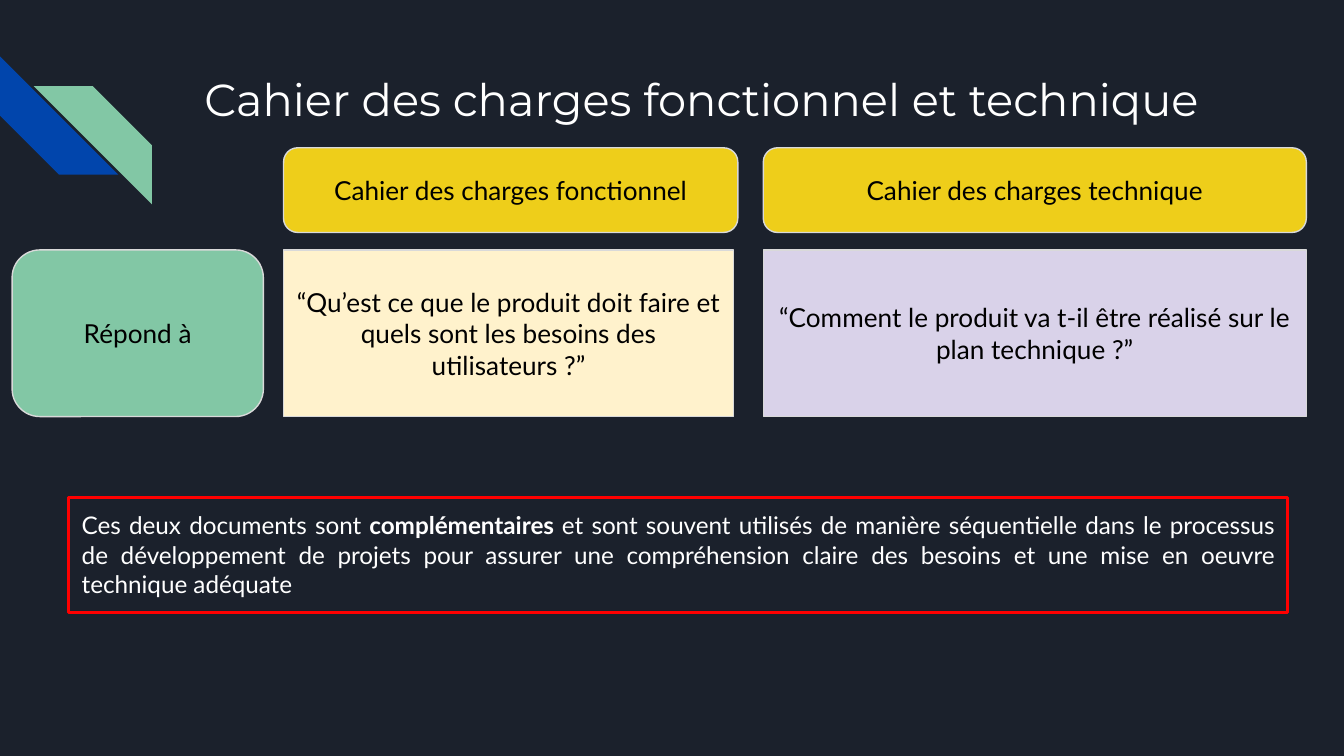
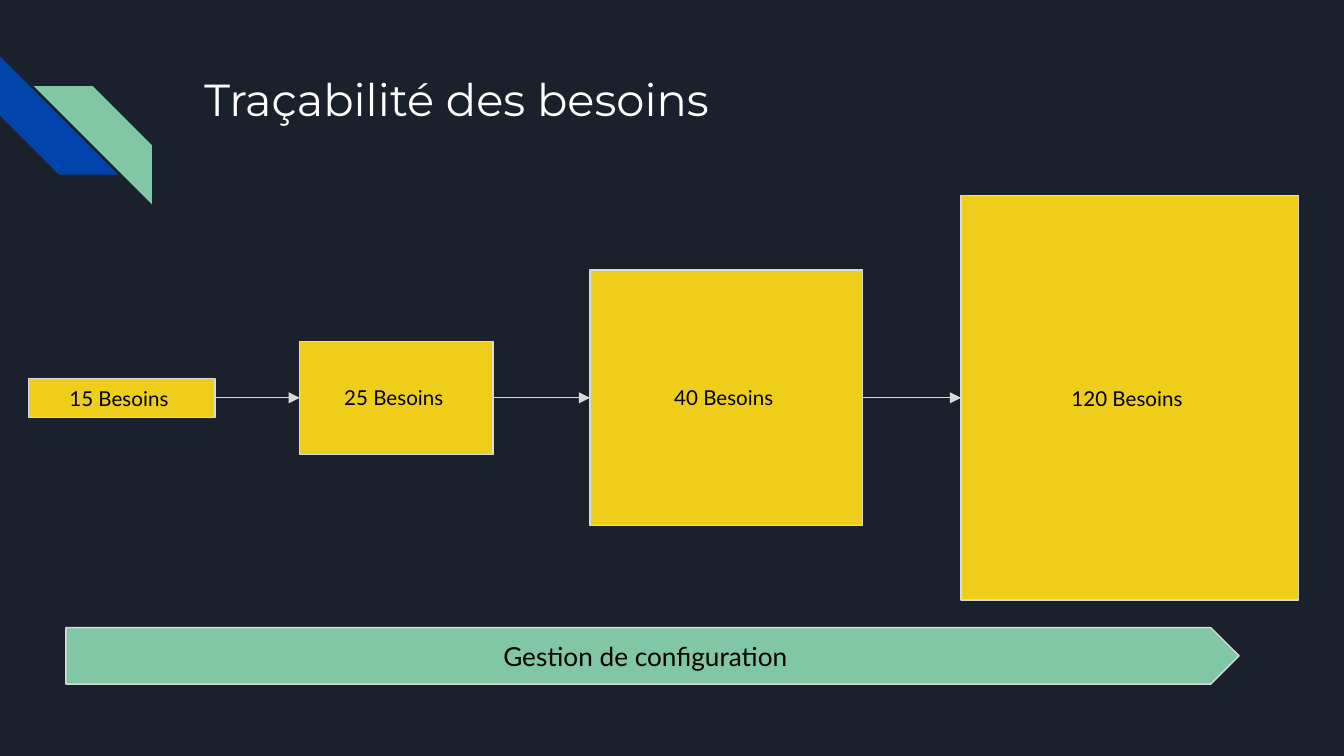
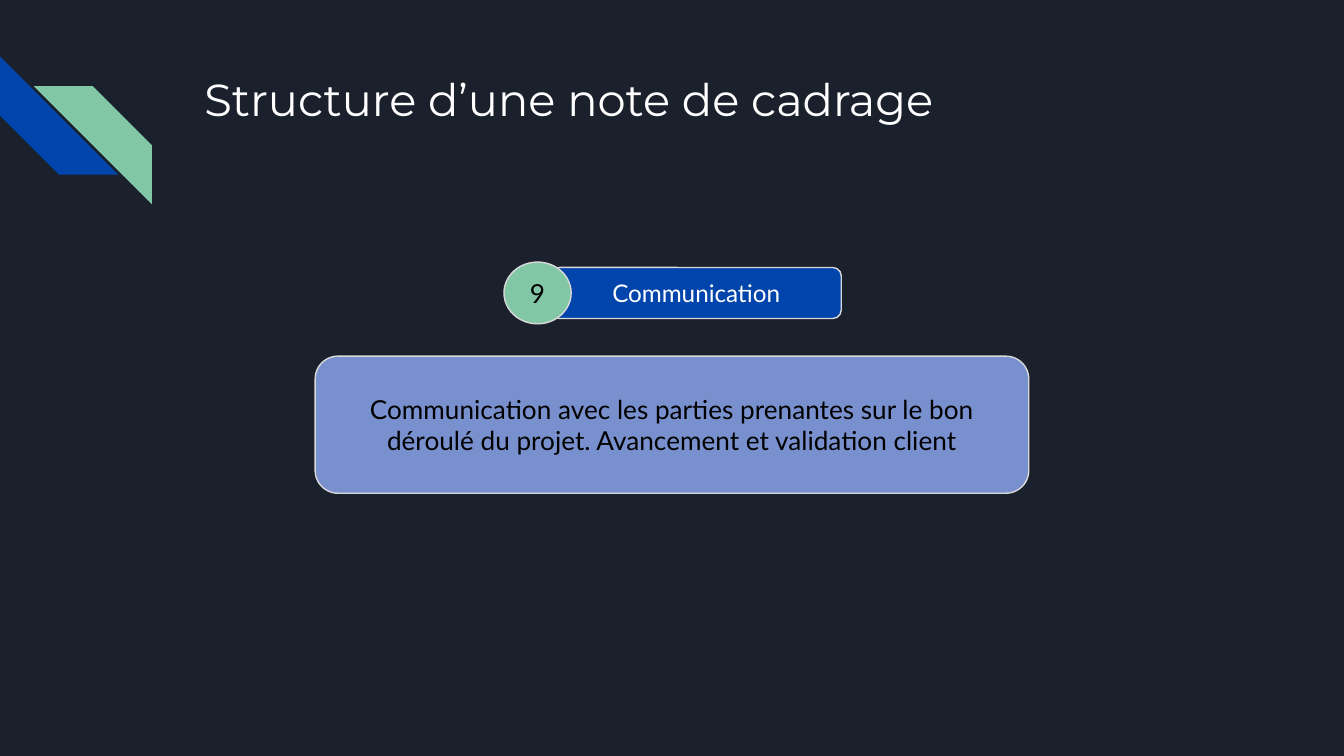
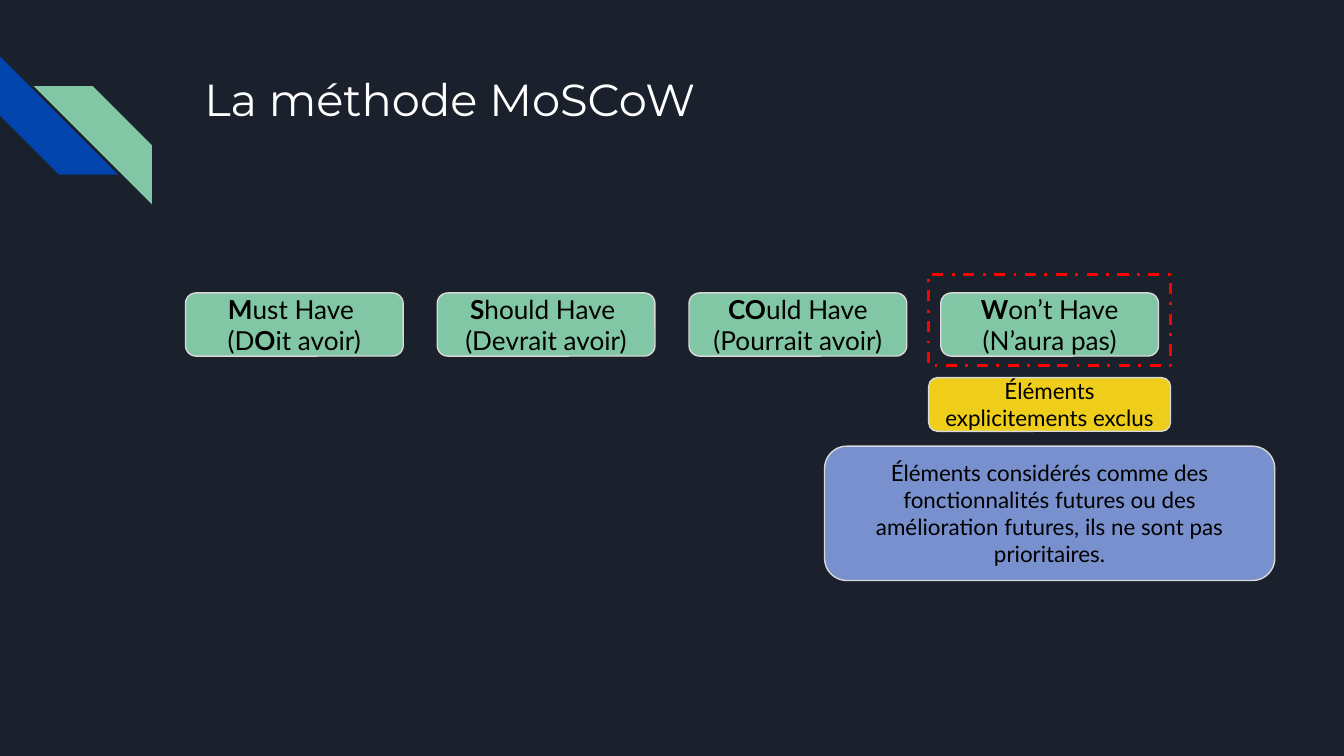
from itertools import pairwise

from lxml.etree import SubElement
from pptx import Presentation
from pptx.dml.color import RGBColor
from pptx.enum.dml import MSO_LINE
from pptx.enum.shapes import MSO_CONNECTOR, MSO_SHAPE as SHAPE
from pptx.enum.text import MSO_ANCHOR as ANCHOR, MSO_AUTO_SIZE, PP_ALIGN as ALIGN
from pptx.oxml.ns import qn
from pptx.util import Inches, Pt

WIDTH = 10
NIGHT, WHITE, BLACK, GREY, RED = "1B212C", "FFFFFF", "000000", "D9D9D9", "FF0000"
BLUE, GREEN, YELLOW, PERIWINKLE = "0145AC", "82C7A5", "EECE1A", "7890CD"
CREAM, LILAC = "FFF2CC", "D9D2E9"
BODY_FONT, TITLE_FONT = "Lato", "Montserrat"
MARGIN = 0.1

TITLES = {
    "specifications": "Cahier des charges fonctionnel et technique",
    "traceability": "Traçabilité des besoins",
    "framing": "Structure d’une note de cadrage",
    "moscow": "La méthode MoSCoW",
}

COLUMN_LEFTS = [0.09, 2.11, 5.68]
ROWS = [(1.1, 0.63), (1.86, 1.24)]
SPECIFICATION_CELLS = [
    (0, 1, 3.38, SHAPE.ROUNDED_RECTANGLE, YELLOW, "Cahier des charges fonctionnel"),
    (0, 2, 4.04, SHAPE.ROUNDED_RECTANGLE, YELLOW, "Cahier des charges technique"),
    (1, 0, 1.87, SHAPE.ROUNDED_RECTANGLE, GREEN, "Répond à"),
    (1, 1, 3.35, SHAPE.RECTANGLE, CREAM,
     "“Qu’est ce que le produit doit faire et quels sont les besoins des utilisateurs ?”"),
    (1, 2, 4.04, SHAPE.RECTANGLE, LILAC,
     "“Comment le produit va t-il être réalisé sur le plan technique ?”"),
]
SUMMARY = (
    "Ces deux documents sont *complémentaires *et sont souvent utilisés de manière "
    "séquentielle dans le processus de développement de projets pour assurer une "
    "compréhension claire des besoins et une mise en oeuvre technique adéquate"
)

NEEDS_AXIS = 2.96
NEEDS = [
    ("15 Besoins ", 0.21, 1.39, 0.29),
    ("25 Besoins ", 2.23, 1.44, 0.84),
    ("40 Besoins ", 4.39, 2.03, 1.9),
    ("120 Besoins ", 7.15, 2.51, 3.01),
]
CONFIGURATION = "Gestion de configuration"

SECTION_NUMBER, SECTION_NAME = "9", "Communication"
SECTION_AXIS = 2.18
SECTION_TEXT = (
    "Communication avec les parties prenantes sur le bon déroulé du projet. "
    "Avancement et validation client"
)

PRIORITIES = [
    "*M*ust Have \n(D*O*it avoir)",
    "*S*hould Have \n(Devrait avoir)",
    "*CO*uld Have\n(Pourrait avoir)",
    "*W*on’t Have\n(N’aura pas)",
]
FIRST_PRIORITY, LAST_PRIORITY, PRIORITY_WIDTH = 1.38, 7, 1.62
EXCLUDED = "Éléments explicitements exclus"
EXCLUDED_TEXT = (
    "Éléments considérés comme des fonctionnalités futures ou des amélioration "
    "futures, ils ne sont pas prioritaires."
)


def color(value):
    return RGBColor.from_string(value)


def set_margins(text_frame):
    text_frame.margin_left = text_frame.margin_right = Inches(MARGIN)
    text_frame.margin_top = text_frame.margin_bottom = Inches(MARGIN)


def style_font(font, name, size, ink):
    font.name, font.size = name, Pt(size)
    font.color.rgb = color(ink)


def write(shape, text, size, ink, align, anchor):
    text_frame = shape.text_frame
    text_frame.word_wrap = True
    text_frame.vertical_anchor = anchor
    set_margins(text_frame)
    for index, line in enumerate(text.split("\n")):
        paragraph = text_frame.add_paragraph() if index else text_frame.paragraphs[0]
        paragraph.alignment = align
        for position, part in enumerate(line.split("*")):
            if part:
                run = paragraph.add_run()
                run.text = part
                style_font(run.font, BODY_FONT, size, ink)
                run.font.bold = position % 2 == 1


def add_box(slide, kind, left, top, width, height, fill=None, text="", size=14, ink=BLACK,
            outline=GREY, weight=0.75, align=ALIGN.CENTER, anchor=ANCHOR.MIDDLE):
    shape = slide.shapes.add_shape(kind, *map(Inches, (left, top, width, height)))
    shape.shadow.inherit = False
    if fill:
        shape.fill.solid()
        shape.fill.fore_color.rgb = color(fill)
    else:
        shape.fill.background()
    if outline:
        shape.line.color.rgb = color(outline)
        shape.line.width = Pt(weight)
    else:
        shape.line.fill.background()
    if text:
        write(shape, text, size, ink, align, anchor)
    return shape


def add_centred_box(slide, kind, centre, middle, width, height, *args, **options):
    return add_box(slide, kind, centre - width / 2, middle - height / 2,
                   width, height, *args, **options)


def add_arrow(slide, start, end):
    connector = slide.shapes.add_connector(MSO_CONNECTOR.STRAIGHT, 0, 0, 0, 0)
    connector.begin_connect(start, 3)
    connector.end_connect(end, 1)
    connector.line.color.rgb = color(GREY)
    connector.line.width = Pt(0.75)
    properties = connector.element.spPr
    SubElement(properties.get_or_add_ln(), qn("a:tailEnd"), type="triangle")
    SubElement(properties, qn("a:effectLst"))


def prepare_layout(presentation, layout, slide):
    background = presentation.slide_master.background.fill
    background.solid()
    background.fore_color.rgb = color(NIGHT)
    title = layout.placeholders[0]
    title.left, title.top, title.width, title.height = map(Inches, (1.42, 0.43, 7.7, 1))
    blue_stripe = add_box(slide, SHAPE.DIAGONAL_STRIPE, 0, 0.42, 0.88, 0.88, BLUE, outline=None)
    blue_stripe.rotation = 270
    green_stripe = add_box(slide, SHAPE.DIAGONAL_STRIPE, 0.25, 0.64, 0.88, 0.88, GREEN, outline=None)
    green_stripe.element.spPr.xfrm.set("flipH", "1")
    for stripe in (blue_stripe, green_stripe):
        title.element.addprevious(stripe.element)


def add_title(slide, text):
    text_frame = slide.shapes.title.text_frame
    text_frame.text = text
    text_frame.auto_size = MSO_AUTO_SIZE.NONE
    text_frame.vertical_anchor = ANCHOR.TOP
    set_margins(text_frame)
    paragraph = text_frame.paragraphs[0]
    paragraph.alignment = ALIGN.LEFT
    style_font(paragraph.runs[0].font, TITLE_FONT, 24, WHITE)


def draw_specifications(slide):
    for row, column, width, kind, fill, text in SPECIFICATION_CELLS:
        top, height = ROWS[row]
        add_box(slide, kind, COLUMN_LEFTS[column], top, width, height, fill, text)
    add_box(slide, SHAPE.RECTANGLE, 0.51, 3.7, 9.07, 0.86, None, SUMMARY, 13, WHITE,
            RED, 1.5, ALIGN.JUSTIFY, ANCHOR.TOP)


def draw_traceability(slide):
    boxes = [
        add_box(slide, SHAPE.RECTANGLE, left, NEEDS_AXIS - height / 2, width, height,
                YELLOW, text, 11)
        for text, left, width, height in NEEDS
    ]
    for start, end in pairwise(boxes):
        add_arrow(slide, start, end)
    add_box(slide, SHAPE.PENTAGON, 0.49, 4.67, 8.73, 0.42, GREEN, CONFIGURATION)


def draw_framing(slide):
    add_centred_box(slide, SHAPE.ROUNDED_RECTANGLE, 5.18, SECTION_AXIS, 2.16, 0.38,
                    BLUE, SECTION_NAME, 13, WHITE)
    add_centred_box(slide, SHAPE.OVAL, 4, SECTION_AXIS, 0.5, 0.46, GREEN, SECTION_NUMBER)
    add_centred_box(slide, SHAPE.ROUNDED_RECTANGLE, WIDTH / 2, 3.16, 5.31, 1.02,
                    PERIWINKLE, SECTION_TEXT)


def draw_moscow(slide):
    step = (LAST_PRIORITY - FIRST_PRIORITY) / (len(PRIORITIES) - 1)
    for index, text in enumerate(PRIORITIES):
        add_box(slide, SHAPE.ROUNDED_RECTANGLE, FIRST_PRIORITY + index * step, 2.18,
                PRIORITY_WIDTH, 0.47, GREEN, text)
    centre = LAST_PRIORITY + PRIORITY_WIDTH / 2
    frame = add_centred_box(slide, SHAPE.RECTANGLE, centre, 2.38, 1.8, 0.68,
                            outline=RED, weight=1.5)
    frame.line.dash_style = MSO_LINE.DASH_DOT
    add_centred_box(slide, SHAPE.ROUNDED_RECTANGLE, centre, 3.01, 1.8, 0.4,
                    YELLOW, EXCLUDED, 12)
    add_centred_box(slide, SHAPE.ROUNDED_RECTANGLE, centre, 3.82, 3.35, 1,
                    PERIWINKLE, EXCLUDED_TEXT, 12)


DRAWINGS = {
    "specifications": draw_specifications,
    "traceability": draw_traceability,
    "framing": draw_framing,
    "moscow": draw_moscow,
}


def main():
    presentation = Presentation()
    presentation.slide_width = Inches(WIDTH)
    presentation.slide_height = Inches(WIDTH) * 9 // 16
    layout = presentation.slide_layouts[5]
    slides = {name: presentation.slides.add_slide(layout) for name in TITLES}
    prepare_layout(presentation, layout, slides["specifications"])
    for name, slide in slides.items():
        add_title(slide, TITLES[name])
        DRAWINGS[name](slide)
    presentation.save("out.pptx")


if __name__ == "__main__":
    main()
